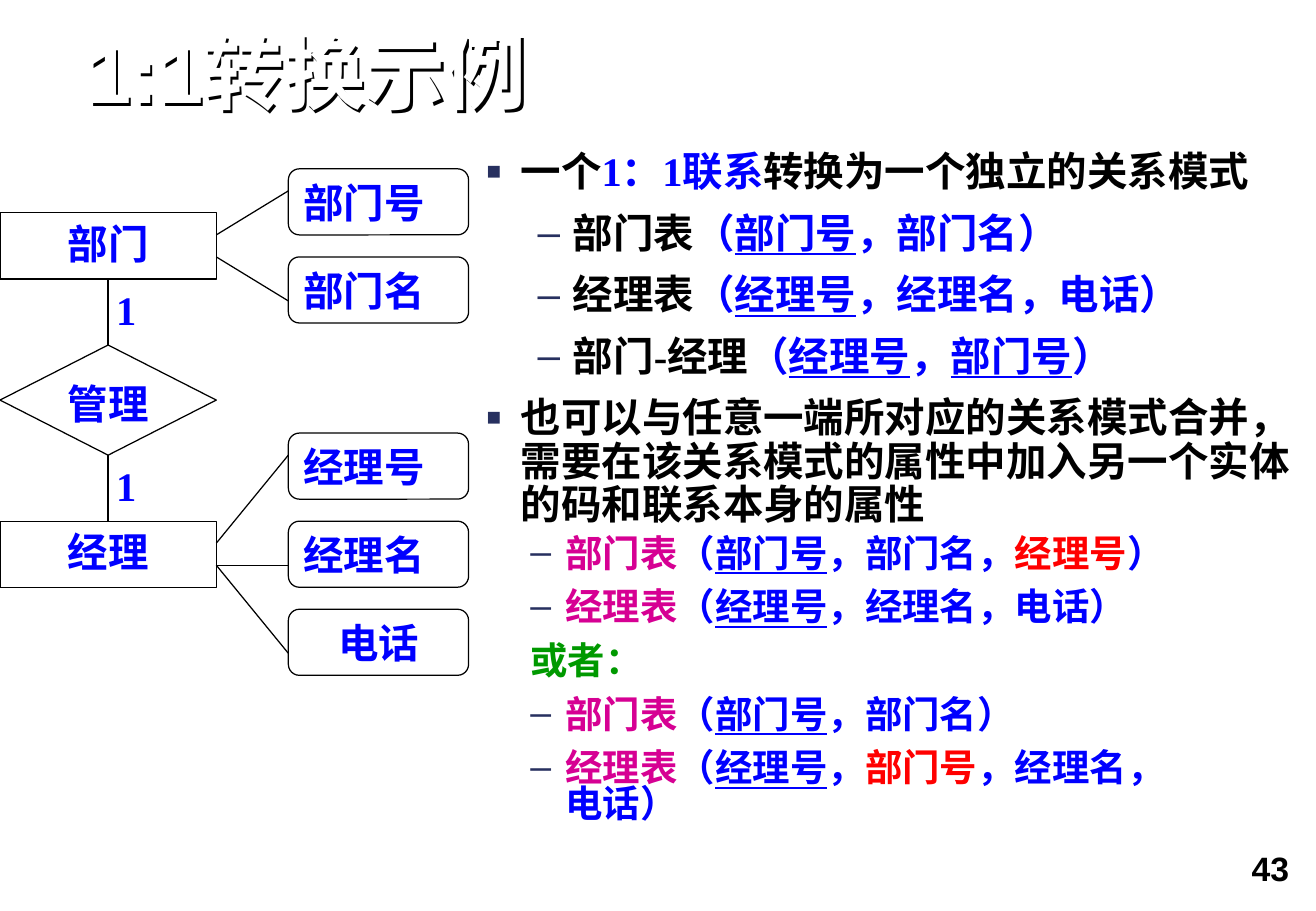
from lxml.etree import SubElement
from pptx import Presentation
from pptx.dml.color import RGBColor
from pptx.enum.shapes import MSO_CONNECTOR, MSO_SHAPE
from pptx.enum.text import MSO_ANCHOR, MSO_AUTO_SIZE, PP_ALIGN
from pptx.oxml.ns import qn
from pptx.util import Inches, Pt

BLACK = RGBColor(0x00, 0x00, 0x00)
WHITE = RGBColor(0xFF, 0xFF, 0xFF)
BLUE = RGBColor(0x00, 0x00, 0xFF)
RED = RGBColor(0xFF, 0x00, 0x00)
GREEN = RGBColor(0x00, 0x99, 0x00)
MAGENTA = RGBColor(0xD6, 0x00, 0x93)
NAVY = RGBColor(0x27, 0x30, 0x5F)
SERIF, SANS = "Times New Roman", "Arial"
W, H = 10.84, 7.5
ENTITY, ATTRIBUTE, RELATION = MSO_SHAPE.RECTANGLE, MSO_SHAPE.ROUNDED_RECTANGLE, MSO_SHAPE.DIAMOND


def add_run(p, text, size=24, color=BLUE, font=SERIF, underline=False):
    """Append a bold run to a paragraph."""
    r = p.add_run()
    r.text = text
    r.font.size, r.font.name, r.font.bold = Pt(size), font, True
    r.font.color.rgb = color
    if underline:
        r.font.underline = True


def set_frame(tf, x=0.1, y=0.05):
    """Turn on wrapping, anchor to the top and set the insets."""
    tf.word_wrap = True
    tf.vertical_anchor = MSO_ANCHOR.TOP
    tf.margin_left = tf.margin_right = Inches(x)
    tf.margin_top = tf.margin_bottom = Inches(y)
    return tf


def add_box(s, left, top, width, height, x=0.1, y=0.05):
    """Add a text box and return its text frame."""
    sp = s.shapes.add_textbox(Inches(left), Inches(top), Inches(width), Inches(height))
    return set_frame(sp.text_frame, x, y)


def set_indent(p, left, hanging, bullet=None, percent=100):
    """Give a paragraph a hanging indent and an optional bullet."""
    pPr = p._p.get_or_add_pPr()
    pPr.set("marL", str(Inches(left)))
    pPr.set("indent", str(-Inches(hanging)))
    if bullet:
        color = SubElement(SubElement(pPr, qn("a:buClr")), qn("a:srgbClr"))
        color.set("val", str(NAVY))
        SubElement(pPr, qn("a:buSzPct")).set("val", str(percent * 1000))
        SubElement(pPr, qn("a:buFont")).set("typeface", SANS)
        SubElement(pPr, qn("a:buChar")).set("char", bullet)


def add_title(s, text, left, top, width, height):
    """Place the white title, whose unfilled box lets the text cast a shadow."""
    sp = s.shapes.title
    sp.left, sp.top, sp.width, sp.height = map(Inches, (left, top, width, height))
    tf = set_frame(sp.text_frame, 0, 0)
    tf.vertical_anchor = MSO_ANCHOR.BOTTOM
    tf.auto_size = MSO_AUTO_SIZE.SHAPE_TO_FIT_TEXT
    p = tf.paragraphs[0]
    p.alignment, p.line_spacing = PP_ALIGN.LEFT, 0.9
    add_run(p, text, size=48, color=WHITE, font=SANS)
    sp.fill.background()
    sp.line.fill.background()
    effects = SubElement(sp._element.spPr, qn("a:effectLst"))
    shadow = SubElement(effects, qn("a:outerShdw"))
    shadow.set("dist", str(Pt(2)))
    shadow.set("dir", "2700000")
    SubElement(shadow, qn("a:srgbClr")).set("val", str(BLACK))


def add_outline(tf, paragraphs, size, spacing):
    """Write bulleted paragraphs, each a bullet mark and its runs."""
    for i, (bullet, runs) in enumerate(paragraphs):
        p = tf.add_paragraph() if i else tf.paragraphs[0]
        if bullet == "■":
            set_indent(p, 0.28, 0.28, bullet, 60)
        else:
            p.level = 1
            set_indent(p, 0.71, 0.29, bullet)
        p.line_spacing = spacing
        p.space_before = Pt(10.5 if i else 0)
        for text, color, *underline in runs:
            add_run(p, text, size=size, color=color, underline=bool(underline))


def relation(name, color, key, *rest):
    """Return a dash paragraph for a relation with an underlined key."""
    return "–", [(name, color), ("（", BLUE), (key, BLUE, True), *rest]


def add_diagram(s, left, top, width, height):
    """Draw the entity diagram on a grid of 13 columns and 23 rows."""
    col, row = width / 13, height / 23

    def at(c, r):
        return Inches(left + c * col), Inches(top + r * row)

    for r in (5, 13):
        p = add_box(s, left + 2 * col, top + r * row, 3 * col, 3 * row).paragraphs[0]
        p.alignment = PP_ALIGN.CENTER
        add_run(p, "1")

    nodes = [
        ("部门", ENTITY, 0, 2), ("管理", RELATION, 0, 8), ("经理", ENTITY, 0, 16),
        ("部门号", ATTRIBUTE, 8, 0), ("部门名", ATTRIBUTE, 8, 4),
        ("经理号", ATTRIBUTE, 8, 12), ("经理名", ATTRIBUTE, 8, 16), ("电话", ATTRIBUTE, 8, 20),
    ]
    for text, kind, c, r in nodes:
        cols = 5 if kind == ATTRIBUTE else 6
        rows = 5 if kind == RELATION else 3
        sp = s.shapes.add_shape(kind, *at(c, r), Inches(cols * col), Inches(rows * row))
        sp.shadow.inherit = False
        sp.fill.background()
        sp.line.color.rgb, sp.line.width = BLACK, Pt(0.75)
        p = set_frame(sp.text_frame).paragraphs[0]
        p.alignment = PP_ALIGN.JUSTIFY if len(text) == 3 else PP_ALIGN.CENTER
        add_run(p, text)

    links = [
        (3, 5, 3, 8), (3, 13, 3, 16), (6, 3, 8, 1), (6, 4, 8, 6),
        (6, 17, 8, 13), (6, 18, 8, 18), (6, 18, 8, 22),
    ]
    for c1, r1, c2, r2 in links:
        line = s.shapes.add_connector(MSO_CONNECTOR.STRAIGHT, *at(c1, r1), *at(c2, r2))
        line.line.color.rgb, line.line.width = BLACK, Pt(0.75)
        SubElement(line._element.spPr, qn("a:effectLst"))


def add_rules(s, left, top, width, height):
    """Write the conversion rules and, below them, the merged relations."""
    rules = [
        ("■", [("一个", BLACK), ("1：1联系", BLUE), ("转换为一个独立的关系模式", BLACK)]),
        relation("部门表", BLACK, "部门号", ("，部门名）", BLUE)),
        relation("经理表", BLACK, "经理号", ("，经理名，电话）", BLUE)),
        relation("部门-经理", BLACK, "经理号", ("，", BLUE), ("部门号", BLUE, True), ("）", BLUE)),
        ("■", [("也可以与任意一端所对应的关系模式合并，需要在该关系模式的属性中"
                "加入另一个实体的码和联系本身的属性", BLACK)]),
    ]
    merged = [
        relation("部门表", MAGENTA, "部门号", ("，部门名，", BLUE), ("经理号", RED), ("）", BLUE)),
        relation("经理表", MAGENTA, "经理号", ("，经理名，电话）", BLUE)),
        (None, [("或者：", GREEN)]),
        relation("部门表", MAGENTA, "部门号", ("，部门名）", BLUE)),
        relation("经理表", MAGENTA, "经理号", ("，", BLUE), ("部门号", RED), ("，经理名，电话）", BLUE)),
    ]
    upper = 0.52 * height
    add_outline(add_box(s, left, top, width, upper, 0, 0), rules, 24, 0.9)
    add_outline(add_box(s, left - 0.16, top + upper + 0.03, 0.9 * width, 0.48 * height),
                merged, 22.2, 0.8)


def add_page_number(s, text, left, top, width, height):
    """Place the page number at the right of its box."""
    p = add_box(s, left, top, width, height, 0.13, 0.06).paragraphs[0]
    p.alignment = PP_ALIGN.RIGHT
    add_run(p, text, size=20, color=BLACK, font=SANS)


def main():
    """Build and save the slide."""
    prs = Presentation()
    prs.slide_width, prs.slide_height = Inches(W), Inches(H)
    s = prs.slides.add_slide(prs.slide_layouts[5])
    add_page_number(s, "43", 8.01, 6.92, 2.74, 0.58)
    add_title(s, "1:1转换示例", 0.71, 0.28, 9.65, 0.72)
    add_rules(s, 4.01, 1.25, 6.83, 5.97)
    add_diagram(s, 0, 1.39, 3.86, 4.17)
    prs.save("out.pptx")


if __name__ == "__main__":
    main()
